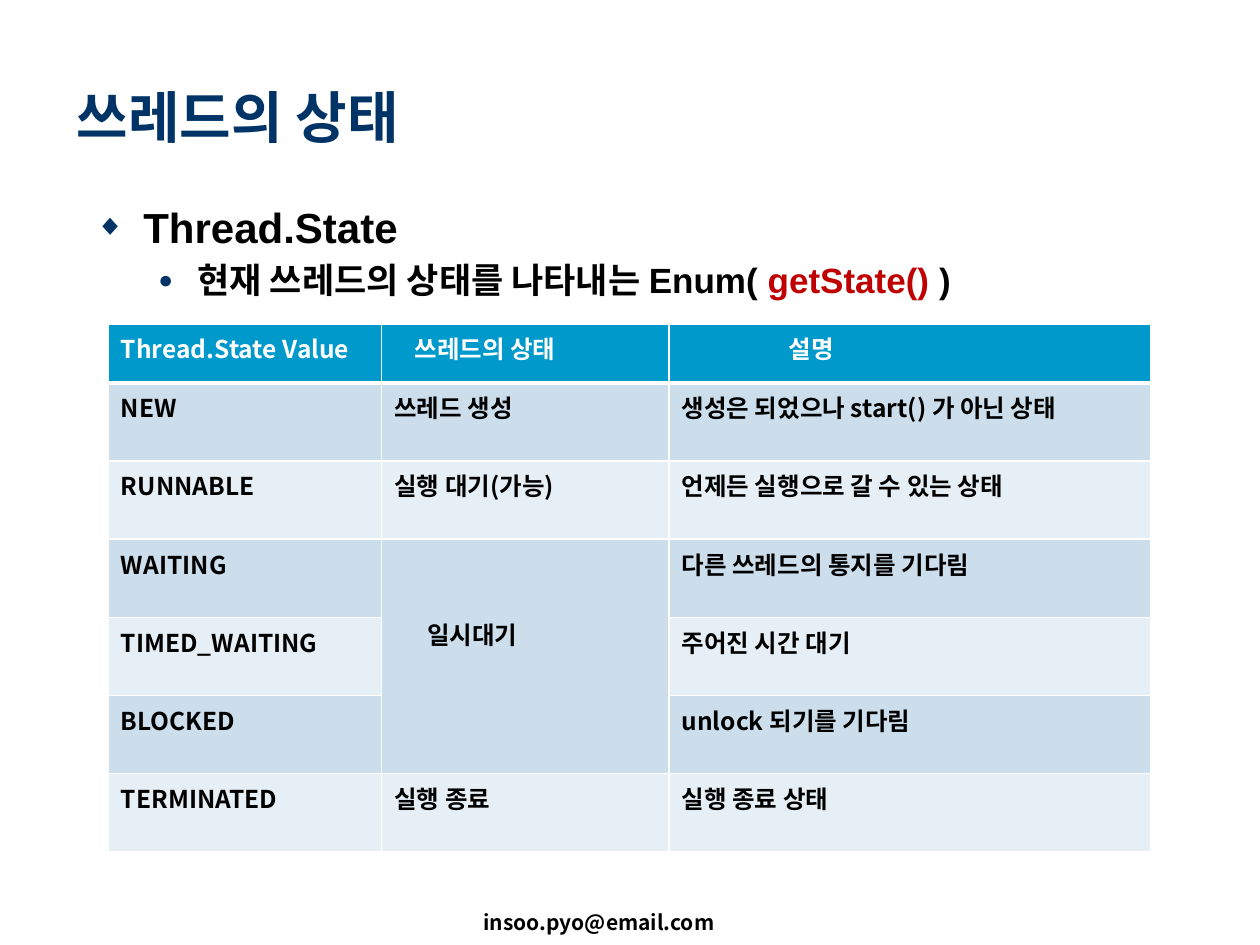
import pptx
import pptx.util
import pptx.dml.color
import pptx.enum.text
import pptx.oxml.ns
from lxml import etree

Inch = pptx.util.Inches
Pt = pptx.util.Pt
KOREAN = "Noto Sans CJK KR"
HUES = {
    "navy": "003366", "black": "000000", "white": "FFFFFF", "red": "C00000",
    "head": "0099CC", "odd": "CCDEEC", "even": "E7EFF6",
}
COLS = [2.17, 2.28, 3.82]
HEAD = ["Thread.State Value", "쓰레드의 상태", "설명"]
ROWS = [
    ["NEW", "쓰레드 생성", "생성은 되었으나 start() 가 아닌 상태"],
    ["RUNNABLE", "실행 대기(가능)", "언제든 실행으로 갈 수 있는 상태"],
    ["WAITING", "일시대기", "다른 쓰레드의 통지를 기다림"],
    ["TIMED_WAITING", "", "주어진 시간 대기"],
    ["BLOCKED", "", "unlock 되기를 기다림"],
    ["TERMINATED", "실행 종료", "실행 종료 상태"],
]
# Extra left and top margins of single cells, by row and column
SHIFT = {(0, 1): (0.16, 0), (0, 2): (0.85, 0), (3, 1): (0.26, 0.56)}


def color(name):
    return pptx.dml.color.RGBColor.from_string(HUES[name])


def node(parent, tag, **attrs):
    return etree.SubElement(parent, pptx.oxml.ns.qn("a:" + tag), **attrs)


def add_run(para, text, size, hue="black", face=KOREAN):
    run = para.add_run()
    run.text = text
    font = run.font
    font.size, font.bold, font.name = Pt(size), True, face
    font.color.rgb = color(hue)
    node(run._r.get_or_add_rPr(), "ea", typeface=KOREAN)


def add_box(slide, left, top, width, height):
    box = slide.shapes.add_textbox(*map(Inch, (left, top, width, height)))
    box.text_frame.word_wrap = True
    return box.text_frame


def add_title(slide, text):
    title = slide.shapes.title
    title.left, title.top = Inch(0.51), Inch(0.59)
    title.width, title.height = Inch(8.67), Inch(0.66)
    title.fill.solid()
    title.fill.fore_color.rgb = color("white")
    frame = title.text_frame
    frame.vertical_anchor = pptx.enum.text.MSO_ANCHOR.MIDDLE
    para = frame.paragraphs[0]
    para.alignment = pptx.enum.text.PP_ALIGN.LEFT
    add_run(para, text, 32, "navy")


def set_bullet(para, mark, left, hang, gap):
    para.space_before = Pt(gap)
    props = para._p.get_or_add_pPr()
    props.set("marL", str(Inch(left)))
    props.set("indent", str(-Inch(hang)))
    node(node(props, "buClr"), "srgbClr", val=HUES["navy"])
    node(props, "buSzPct", val="70000")
    node(props, "buFont", typeface="Arial")
    node(props, "buChar", char=mark)


def add_body(slide):
    frame = add_box(slide, 0.66, 1.55, 8.67, 1)
    para = frame.paragraphs[0]
    set_bullet(para, "◆", 0.38, 0.38, 4.8)
    add_run(para, "Thread.State", 24, face="Arial")
    para = frame.add_paragraph()
    para.level = 1
    set_bullet(para, "●", 0.81, 0.31, 4)
    for text, hue in [("현재 쓰레드의 상태를 나타내는 Enum( ", "black"),
                      ("getState() ", "red"), (")", "black")]:
        add_run(para, text, 20, hue, "Arial")


def set_cell(cell, text, row, col):
    props = cell._tc.get_or_add_tcPr()
    thick = {"T": row == 1, "B": row == 0}
    for side in "LRTB":
        width = Pt(3 if thick.get(side) else 1)
        line = node(props, "ln" + side, w=str(width))
        node(node(line, "solidFill"), "srgbClr", val=HUES["white"])
    cell.fill.solid()
    fill = "head" if row == 0 else "odd" if row % 2 else "even"
    cell.fill.fore_color.rgb = color(fill)
    left, top = SHIFT.get((row, col), (0, 0))
    cell.margin_left, cell.margin_top = Inch(0.1 + left), Inch(0.05 + top)
    if text:
        add_run(cell.text_frame.paragraphs[0], text, 14,
                "white" if row == 0 else "black")


def add_grid(slide):
    rows = [HEAD] + ROWS
    table = slide.shapes.add_table(
        len(rows), len(COLS), Inch(0.86), Inch(2.57),
        Inch(sum(COLS)), Inch(4.17)).table
    for col, width in enumerate(COLS):
        table.columns[col].width = Inch(width)
    for row, texts in enumerate(rows):
        table.rows[row].height = Inch(0.62 if row else 0.47)
        for col, text in enumerate(texts):
            set_cell(table.cell(row, col), text, row, col)
    table.cell(3, 1).merge(table.cell(5, 1))


def main():
    deck = pptx.Presentation()
    deck.slide_width, deck.slide_height = Inch(10), Inch(7.5)
    slide = deck.slides.add_slide(deck.slide_layouts[5])
    foot = add_box(slide, 3.74, 7.17, 3.23, 0.3)
    add_run(foot.paragraphs[0], "insoo.pyo@email.com", 12)
    add_title(slide, "쓰레드의 상태")
    add_body(slide)
    add_grid(slide)
    deck.save("out.pptx")


if __name__ == "__main__":
    main()
